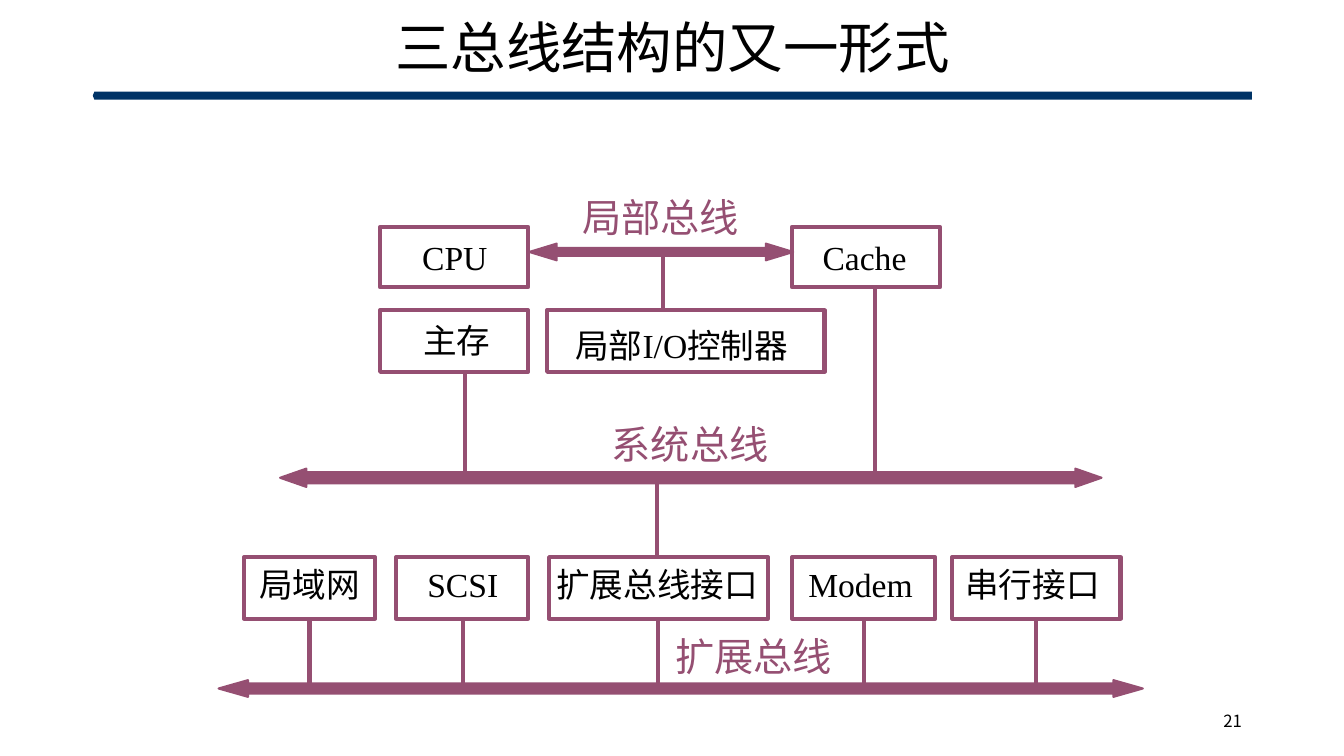
from dataclasses import dataclass

from lxml.etree import SubElement
from pptx import Presentation
from pptx.dml.color import RGBColor
from pptx.enum.shapes import MSO_CONNECTOR, MSO_SHAPE
from pptx.enum.text import MSO_ANCHOR, MSO_AUTO_SIZE, PP_ALIGN
from pptx.oxml.ns import qn
from pptx.util import Cm, Pt


@dataclass(frozen=True)
class Theme:
    ink: RGBColor = RGBColor(0x00, 0x00, 0x00)
    navy: RGBColor = RGBColor(0x00, 0x33, 0x66)
    plum: RGBColor = RGBColor(0x95, 0x4F, 0x72)
    hans: str = "Noto Sans CJK SC"
    roman: str = "Times New Roman"
    title: float = 39.6
    bus: float = 28
    node: float = 24
    page: float = 12
    stroke: float = 3
    edge: float = 1.5


@dataclass(frozen=True)
class Row:
    top: float
    high: float
    text: float


@dataclass(frozen=True)
class Node:
    name: str
    row: Row
    left: float
    wide: float
    text: float
    span: float
    font: str
    pad: tuple[float, float] = (0, 0)


@dataclass(frozen=True)
class Bus:
    name: str
    left: float
    mid: float
    wide: float
    head: float
    half: float
    shaft: float
    text: tuple[float, float]


@dataclass(frozen=True)
class Wire:
    x: float
    top: float
    end: float


THEME = Theme()
UPPER = Row(5.72, 1.52, 5.97)
MIDDLE = Row(7.82, 1.55, 8.05)
LOWER = Row(14.04, 1.55, 14.2)

NODES = [
    Node("CPU", UPPER, 9.58, 3.73, 10.64, 3.33, THEME.roman),
    Node("Cache", UPPER, 19.96, 3.73, 20.73, 3.81, THEME.roman),
    Node("主存", MIDDLE, 9.58, 3.73, 10.67, 3.53, THEME.hans),
    Node("局部I/O控制器", MIDDLE, 13.79, 6.99, 14.25, 9.02, THEME.roman, (0.25, 0.13)),
    Node("局域网", LOWER, 6.15, 3.3, 6.53, 3.86, THEME.hans),
    Node("SCSI", LOWER, 9.98, 3.33, 10.77, 3, THEME.roman),
    Node("扩展总线接口", LOWER, 13.84, 5.51, 14.02, 7.34, THEME.hans),
    Node("Modem", LOWER, 19.96, 3.61, 20.37, 4.62, THEME.roman),
    Node("串行接口", LOWER, 24, 4.24, 24.33, 5.51, THEME.hans),
]

BUSES = [
    Bus("局部总线", 13.34, 6.35, 6.65, 0.69, 0.21, 0.1, (14.68, 4.88)),
    Bus("系统总线", 7.06, 12.04, 20.7, 0.66, 0.23, 0.14, (15.42, 10.59)),
    Bus("扩展总线", 5.51, 17.35, 23.29, 0.74, 0.21, 0.13, (17.02, 15.93)),
]

WIRES = [
    Wire(16.71, 6.35, 7.82),
    Wire(11.71, 9.35, 12.09),
    Wire(22.05, 7.19, 12.07),
    Wire(16.56, 12.09, 14.05),
    *(Wire(x, 15.6, 17.38) for x in (7.8, 11.66, 16.59, 21.77, 26.11)),
]


def add_run(para, text: str, size: float, color: RGBColor, font: str) -> None:
    run = para.add_run()
    run.text = text
    run.font.size = Pt(size)
    run.font.color.rgb = color
    run.font.name = font
    SubElement(run.font._element, qn("a:ea")).set("typeface", THEME.hans)


def add_text(slide, place: tuple, text: str, size: float, color: RGBColor,
             font: str, pad: tuple[float, float] = (0, 0), wrap: bool = True):
    frame = slide.shapes.add_textbox(*map(Cm, place)).text_frame
    frame.word_wrap = wrap
    frame.margin_left = frame.margin_right = Cm(pad[0])
    frame.margin_top = frame.margin_bottom = Cm(pad[1])
    add_run(frame.paragraphs[0], text, size, color, font)
    return frame


def add_title(slide, text: str) -> None:
    bar = slide.shapes.add_shape(MSO_SHAPE.PENTAGON, Cm(2.34), Cm(2.31), Cm(29.21), Cm(0.2))
    bar.adjustments[0] = 0.2
    bar._element.spPr.xfrm.set("flipH", "1")
    bar.shadow.inherit = False
    bar.fill.solid()
    bar.fill.fore_color.rgb = THEME.navy
    bar.line.fill.background()
    title = slide.shapes.title
    title.left, title.top, title.width, title.height = map(Cm, (2.34, 0.43, 29.21, 1.68))
    frame = title.text_frame
    frame.auto_size = MSO_AUTO_SIZE.NONE
    frame.vertical_anchor = MSO_ANCHOR.MIDDLE
    para = frame.paragraphs[0]
    para.alignment = PP_ALIGN.CENTER
    para.line_spacing = 0.9
    add_run(para, text, THEME.title, THEME.ink, THEME.hans)


def add_wire(slide, wire: Wire) -> None:
    line = slide.shapes.add_connector(
        MSO_CONNECTOR.STRAIGHT, Cm(wire.x), Cm(wire.top), Cm(wire.x), Cm(wire.end))
    line.line.color.rgb = THEME.plum
    line.line.width = Pt(THEME.stroke)
    SubElement(line._element.spPr, qn("a:effectLst"))


def add_node(slide, node: Node) -> None:
    row = node.row
    box = slide.shapes.add_shape(
        MSO_SHAPE.RECTANGLE, Cm(node.left), Cm(row.top), Cm(node.wide), Cm(row.high))
    box.shadow.inherit = False
    box.fill.background()
    box.line.color.rgb = THEME.plum
    box.line.width = Pt(THEME.stroke)
    place = (node.text, row.text, node.span, 1.02 + 2 * node.pad[1])
    add_text(slide, place, node.name, THEME.node, THEME.ink, node.font, node.pad)


def add_bus(slide, bus: Bus) -> None:
    right = bus.left + bus.wide
    near, far = bus.left + bus.head, right - bus.head
    lower = [(near, bus.half), (near, bus.shaft), (far, bus.shaft), (far, bus.half)]
    upper = [(x, -y) for x, y in reversed(lower)]
    points = [(Cm(x), Cm(bus.mid + y)) for x, y in [*lower, (right, 0), *upper]]
    draft = slide.shapes.build_freeform(Cm(bus.left), Cm(bus.mid))
    draft.add_line_segments(points, close=True)
    arrow = draft.convert_to_shape()
    arrow.shadow.inherit = False
    arrow.fill.solid()
    arrow.fill.fore_color.rgb = THEME.plum
    arrow.line.color.rgb = THEME.plum
    arrow.line.width = Pt(THEME.edge)
    add_text(slide, (*bus.text, 3.96, 1.19), bus.name, THEME.bus, THEME.plum,
             THEME.hans, wrap=False)


def add_page(slide, number: str) -> None:
    frame = add_text(slide, (23.93, 17.65, 7.62, 1.02), number, THEME.page,
                     THEME.ink, THEME.hans, (0.25, 0.13))
    frame.vertical_anchor = MSO_ANCHOR.MIDDLE
    frame.paragraphs[0].alignment = PP_ALIGN.RIGHT


def main() -> None:
    deck = Presentation()
    deck.slide_width, deck.slide_height = Cm(33.87), Cm(19.05)
    slide = deck.slides.add_slide(deck.slide_layouts[5])
    add_title(slide, "三总线结构的又一形式")
    for wire in WIRES:
        add_wire(slide, wire)
    for node in NODES:
        add_node(slide, node)
    for bus in BUSES:
        add_bus(slide, bus)
    add_page(slide, "21")
    deck.save("out.pptx")


if __name__ == "__main__":
    main()
